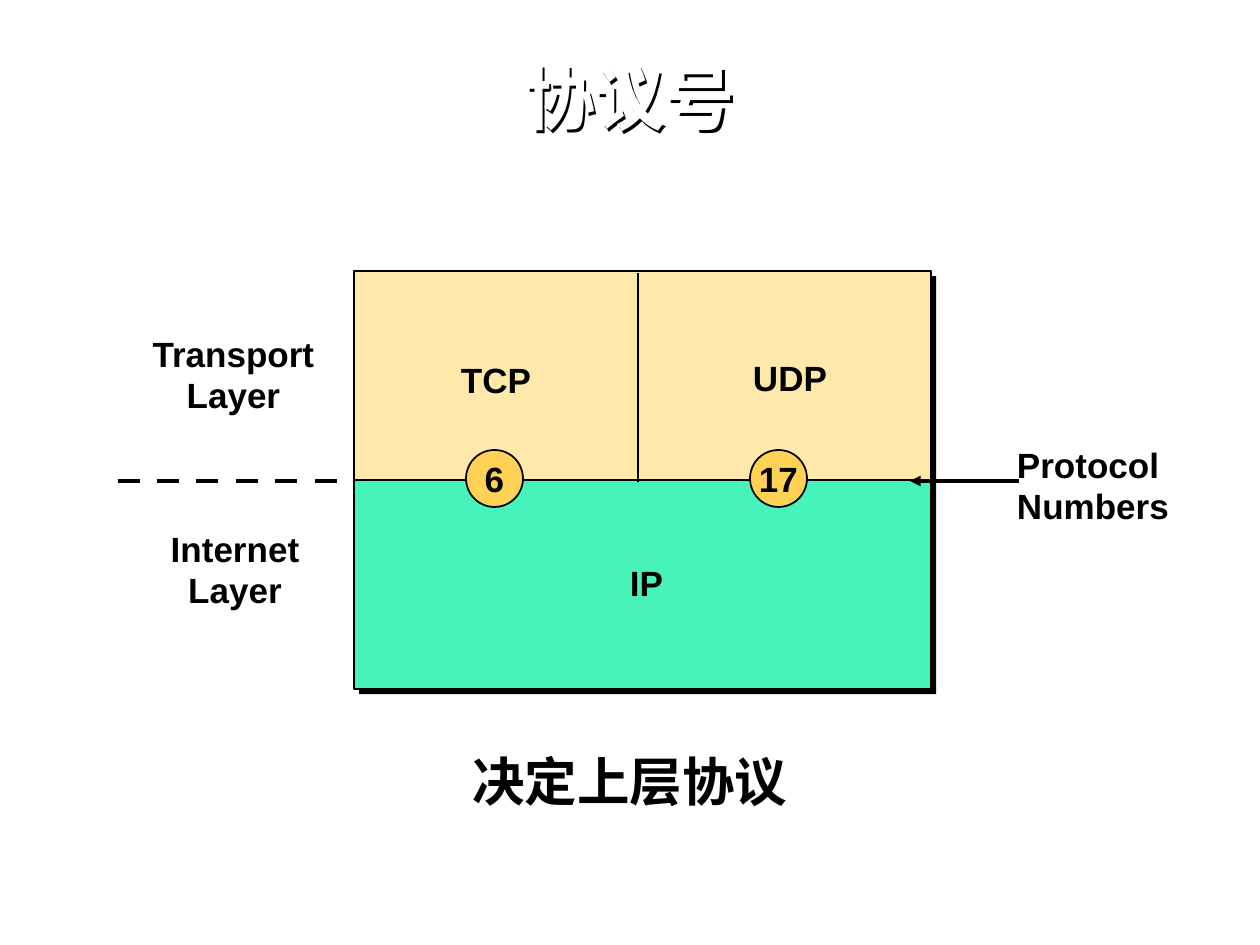
from lxml import etree
from pptx import Presentation
from pptx.dml.color import RGBColor
from pptx.enum.shapes import MSO_CONNECTOR, MSO_SHAPE
from pptx.enum.text import MSO_ANCHOR, PP_ALIGN
from pptx.oxml import parse_xml
from pptx.oxml.ns import nsdecls, qn
from pptx.util import Pt

PX = 914400 / 126
BLACK = RGBColor(0x00, 0x00, 0x00)
WHITE = RGBColor(0xFF, 0xFF, 0xFF)
CREAM = RGBColor(0xFF, 0xE9, 0xAA)
GREEN = RGBColor(0x45, 0xF3, 0xBB)
GOLD = RGBColor(0xFF, 0xD2, 0x55)
RECTANGLE, OVAL = MSO_SHAPE.RECTANGLE, MSO_SHAPE.OVAL
STRAIGHT = MSO_CONNECTOR.STRAIGHT
CENTER, LEFT = PP_ALIGN.CENTER, PP_ALIGN.LEFT
TOP, MIDDLE = MSO_ANCHOR.TOP, MSO_ANCHOR.MIDDLE

# Content: boxes are left, top, width, height in px
TITLE = ("协议号", (0, 0, 1260, 204))
SUMMARY = ("决定上层协议", (0, 716, 1260, 135))
LABELS = [
    ("Transport\nLayer", (88, 329, 291, 106), CENTER),
    ("Internet\nLayer", (118, 524, 234, 106), CENTER),
    ("TCP", (354, 355, 284, 66), CENTER),
    ("UDP", (654, 353, 272, 66), CENTER),
    ("Protocol\nNumbers", (1014, 440, 181, 106), LEFT),
    ("IP", (610, 558, 73, 66), CENTER),
]
PROTOCOL_NUMBERS = [("6", 494), ("17", 778)]  # text, centre x

STACK_LEFT, STACK_TOP, STACK_WIDTH, LAYER_HEIGHT = 354, 271, 577, 209
LAYER_BORDER = STACK_TOP + LAYER_HEIGHT
RULE_Y = 481
DIVIDER_X = 638
DASH_COUNT, DASH_START, DASH_SPAN, DASH_WIDTH = 6, 118, 197, 22
CIRCLE = 57


def emu(*lengths):
    return [round(length * PX) for length in lengths]


def add_shadow(shape, distance):
    properties = shape._element.spPr
    for effects in properties.findall(qn("a:effectLst")):
        properties.remove(effects)
    properties.append(parse_xml(
        f'<a:effectLst {nsdecls("a")}><a:outerShdw dist="{Pt(distance)}" dir="2700000" '
        'algn="ctr" rotWithShape="0"><a:srgbClr val="000000"/></a:outerShdw></a:effectLst>'))


def write(shape, text, size=20, color=BLACK, align=CENTER, anchor=TOP,
          insets=(3, 4), wrap=False, spacing=None):
    frame = shape.text_frame
    frame.word_wrap = wrap
    frame.vertical_anchor = anchor
    frame.margin_left = frame.margin_right = emu(insets[0])[0]
    frame.margin_top = frame.margin_bottom = emu(insets[1])[0]
    paragraph = frame.paragraphs[0]
    paragraph.text = text
    paragraph.alignment = align
    if spacing:
        paragraph.line_spacing = spacing
    for run in paragraph.runs:
        run.font.name = "Arial"
        run.font.size = Pt(size)
        run.font.bold = True
        run.font.color.rgb = color


def add_block(slide, kind, box, fill, outlined=True):
    shape = slide.shapes.add_shape(kind, *emu(*box))
    shape.shadow.inherit = False
    shape.fill.solid()
    shape.fill.fore_color.rgb = fill
    if outlined:
        shape.line.color.rgb = BLACK
        shape.line.width = Pt(1)
    else:
        shape.line.fill.background()
    return shape


def add_line(shapes, start, end, width=2, arrow=False):
    line = shapes.add_connector(STRAIGHT, *emu(*start, *end))
    line.line.color.rgb = BLACK
    line.line.width = Pt(width)
    if arrow:
        etree.SubElement(line.line._get_or_add_ln(), qn("a:tailEnd"), type="triangle")
    etree.SubElement(line._element.spPr, qn("a:effectLst"))


def main():
    presentation = Presentation()
    presentation.slide_width, presentation.slide_height = emu(1260, 945)
    slide = presentation.slides.add_slide(presentation.slide_layouts[6])
    shapes = slide.shapes

    # Shadowed backing of the protocol stack
    backing = add_block(slide, RECTANGLE,
                        (STACK_LEFT, STACK_TOP, STACK_WIDTH, 2 * LAYER_HEIGHT),
                        WHITE, outlined=False)
    add_shadow(backing, 4.2)

    # Title: white text made visible by the shadow of its unfilled box
    text, box = TITLE
    title = shapes.add_textbox(*emu(*box))
    write(title, text, size=40, color=WHITE,
          anchor=MIDDLE, insets=(11, 5), wrap=True, spacing=0.9)
    add_shadow(title, 2)

    # Summary
    text, box = SUMMARY
    write(shapes.add_textbox(*emu(*box)), text, size=30,
          anchor=MIDDLE, insets=(11, 5), wrap=True, spacing=0.95)

    # Transport layer above internet layer
    for top, color in ((STACK_TOP, CREAM), (LAYER_BORDER, GREEN)):
        add_block(slide, RECTANGLE, (STACK_LEFT, top, STACK_WIDTH, LAYER_HEIGHT), color)

    # Labels
    for text, box, align in LABELS:
        write(shapes.add_textbox(*emu(*box)), text, align=align, spacing=Pt(23.6))

    # Dashed border between the layers
    dashes = shapes.add_group_shape()
    for index in range(DASH_COUNT):
        left = DASH_START + DASH_SPAN * index // (DASH_COUNT - 1)
        add_line(dashes.shapes, (left, RULE_Y), (left + DASH_WIDTH, RULE_Y))

    # Pointer to the protocol numbers, and the TCP/UDP divider
    add_line(shapes, (1019, RULE_Y), (910, RULE_Y), arrow=True)
    add_line(shapes, (DIVIDER_X, 273), (DIVIDER_X, 482), width=1)

    # Protocol number circles
    for text, center in PROTOCOL_NUMBERS:
        circle = add_block(slide, OVAL, (center - CIRCLE // 2, 450, CIRCLE, CIRCLE), GOLD)
        write(circle, text, anchor=MIDDLE, insets=(14, 8))

    presentation.save("out.pptx")


if __name__ == "__main__":
    main()
